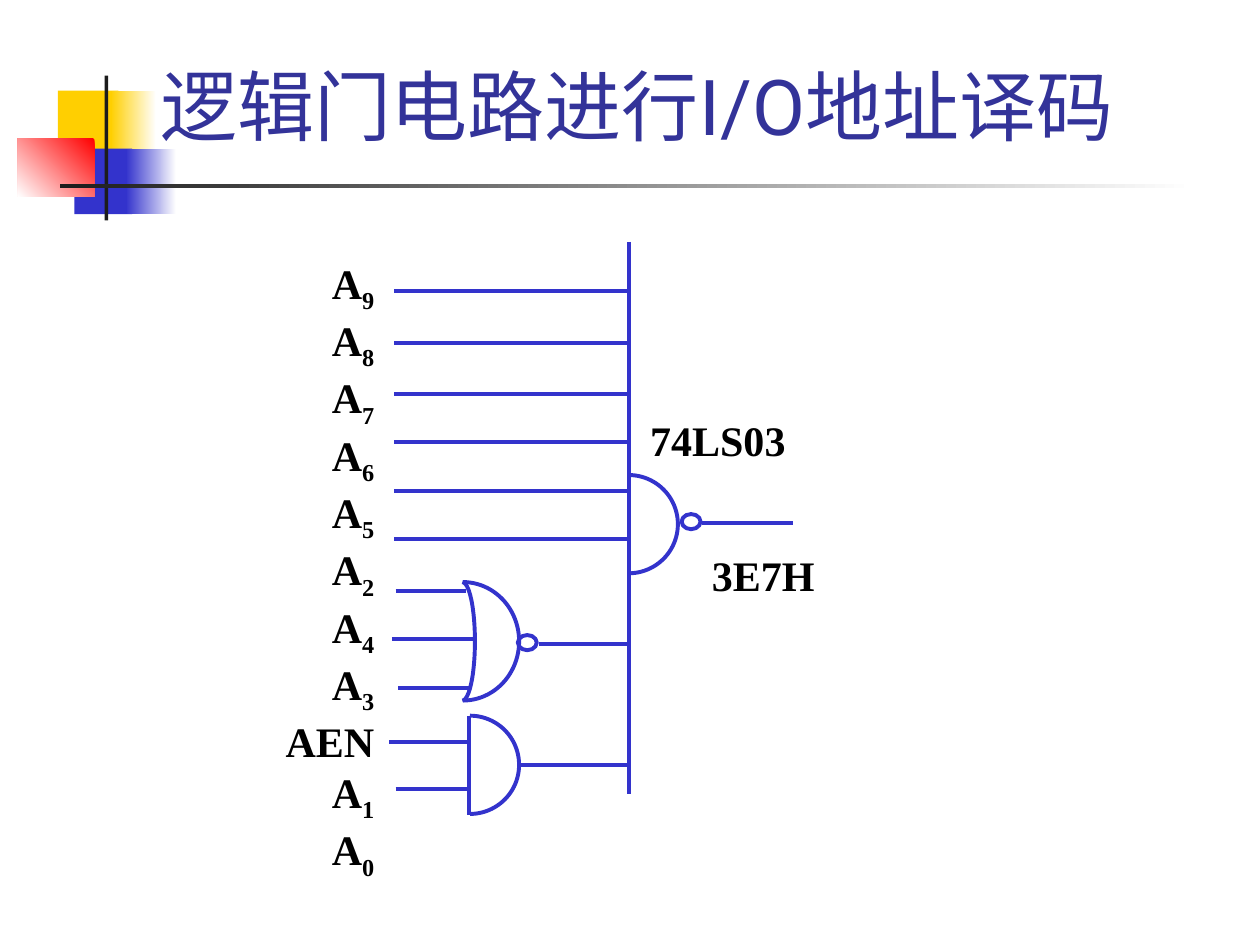
import pptx
import pptx.dml.color
import pptx.enum.shapes
import pptx.enum.text
import pptx.util
from lxml import etree
from pptx.oxml.ns import qn

Inches = pptx.util.Inches
Pt = pptx.util.Pt
RGBColor = pptx.dml.color.RGBColor
SHAPE = pptx.enum.shapes.MSO_SHAPE
ALIGN = pptx.enum.text.PP_ALIGN

WHITE = RGBColor(0xFF, 0xFF, 0xFF)
BLACK = RGBColor(0, 0, 0)
YELLOW = RGBColor(0xFF, 0xCF, 0x01)
BLUE = RGBColor(0x33, 0x33, 0xCC)
RED = RGBColor(0xFF, 0, 0)
DARK = RGBColor(0x1C, 0x1C, 0x1C)
TITLE_COLOR = RGBColor(0x33, 0x33, 0x99)

ADDRESS_ROWS = [2.31, 2.72, 3.13, 3.51, 3.9, 4.28]
GATE_WIRES = [
    (3.14, 4.69, 3.7), (3.11, 5.07, 3.75), (3.16, 5.46, 3.73),
    (3.09, 5.89, 3.73), (3.14, 6.26, 3.73),
    (4.28, 5.11, 5), (4.13, 6.07, 5), (5.57, 4.15, 6.29),
]
GATE_ARCS = [
    (3.23, 4.62, 0.89, 0.94), (3.57, 4.62, 0.2, 0.94),
    (3.34, 5.68, 0.78, 0.78), (4.6, 3.77, 0.78, 0.78),
]
BUBBLES = [(4.11, 5.04, 0.15, 0.12), (5.41, 4.08, 0.15, 0.12)]
SIGNALS = ["A9", "A8", "A7", "A6", "A5", "A2", "A4", "A3", "AEN", "A1", "A0"]


def add_block(page, place, *colors):
    """Add a borderless rectangle, filled plainly or with a two-colour gradient."""
    block = page.shapes.add_shape(SHAPE.RECTANGLE, *map(Inches, place))
    block.shadow.inherit = False
    block.line.fill.background()
    if len(colors) == 1:
        block.fill.solid()
        block.fill.fore_color.rgb = colors[0]
    else:
        block.fill.gradient()
        block.fill.gradient_angle = 225 if colors[0] == RED else 180
        for stop, color in zip(block.fill.gradient_stops, colors):
            stop.color.rgb = color


def add_decoration(page):
    """Add the coloured squares and rules beside the title."""
    add_block(page, (0.46, 0.72, 0.48, 0.52), YELLOW)
    add_block(page, (0.88, 0.72, 0.36, 0.52), WHITE, YELLOW)
    add_block(page, (0.59, 1.18, 0.46, 0.52), BLUE)
    add_block(page, (1, 1.18, 0.4, 0.52), WHITE, BLUE)
    add_block(page, (0.14, 1.1, 0.61, 0.46), RED, WHITE)
    add_block(page, (0.83, 0.6, 0.03, 1.15), DARK)
    add_block(page, (0.48, 1.46, 9, 0.03), WHITE, DARK)


def style_line(line):
    """Give a line the circuit colour and width."""
    line.color.rgb = BLUE
    line.width = Pt(2.25)


def add_wire(page, x1, y1, x2, y2):
    """Add a straight circuit wire."""
    wire = page.shapes.add_connector(
        pptx.enum.shapes.MSO_CONNECTOR.STRAIGHT, *map(Inches, (x1, y1, x2, y2)))
    style_line(wire.line)
    etree.SubElement(wire._element.spPr, qn("a:effectLst"))


def add_outline(page, kind, place):
    """Add an unfilled circuit outline."""
    outline = page.shapes.add_shape(kind, *map(Inches, place))
    outline.shadow.inherit = False
    outline.fill.background()
    style_line(outline.line)
    return outline


def add_gate_arc(page, place):
    """Add the right half of an ellipse."""
    arc = add_outline(page, SHAPE.ARC, place)
    arc.adjustments[0] = 162
    arc.adjustments[1] = 54


def format_span(span, size, name, color, bold):
    """Set the font of a run."""
    span.font.size = Pt(size)
    span.font.name = name
    span.font.color.rgb = color
    span.font.bold = bold


def add_label(page, place, lines, align):
    """Add a bold label whose A-signals carry subscript numbers."""
    box = page.shapes.add_textbox(*map(Inches, place))
    frame = box.text_frame
    frame.word_wrap = True
    frame.margin_left = frame.margin_right = Inches(0.01)
    frame.margin_top = frame.margin_bottom = Inches(0.01)
    frame.text = "\n".join(lines)
    for para in frame.paragraphs:
        para.alignment = align
        if para.text[0] == "A" and para.text[1:].isdigit():
            number = para.text[1:]
            para.text = "A"
            subscript = para.add_run()
            subscript.text = number
            subscript.font._element.set("baseline", "-25000")
        for span in para.runs:
            format_span(span, 24, "Times New Roman", BLACK, True)


def set_title(page, text):
    """Place and format the title."""
    title = page.shapes.title
    title.left, title.top, title.width, title.height = map(
        Inches, (1.17, 0.33, 8.52, 0.92))
    frame = title.text_frame
    frame.text = text
    frame.word_wrap = True
    frame.auto_size = pptx.enum.text.MSO_AUTO_SIZE.NONE
    frame.vertical_anchor = pptx.enum.text.MSO_ANCHOR.BOTTOM
    para = frame.paragraphs[0]
    para.alignment = ALIGN.LEFT
    format_span(para.runs[0], 44, "Roboto", TITLE_COLOR, False)


def add_circuit(page):
    """Add the wires, gates and labels of the decoder."""
    add_label(page, (1.63, 2.03, 1.35, 4.41), SIGNALS, ALIGN.RIGHT)
    for y in ADDRESS_ROWS:
        add_wire(page, 3.13, y, 5, y)
    for left, y, right in GATE_WIRES:
        add_wire(page, left, y, right, y)
    add_wire(page, 4.99, 1.92, 4.99, 6.3)
    add_wire(page, 3.72, 5.68, 3.72, 6.47)
    for place in GATE_ARCS:
        add_gate_arc(page, place)
    for place in BUBBLES:
        add_outline(page, SHAPE.OVAL, place)
    add_label(page, (5.15, 3.28, 1.61, 0.69), ["74LS03"], ALIGN.JUSTIFY)
    add_label(page, (5.64, 4.35, 1.33, 0.58), ["3E7H"], ALIGN.JUSTIFY)


def main():
    """Build the address decoding slide."""
    deck = pptx.Presentation()
    deck.slide_width, deck.slide_height = Inches(10), Inches(7.5)
    page = deck.slides.add_slide(deck.slide_layouts[5])
    add_decoration(page)
    set_title(page, "逻辑门电路进行I/O地址译码")
    add_circuit(page)
    deck.save("out.pptx")


if __name__ == "__main__":
    main()
